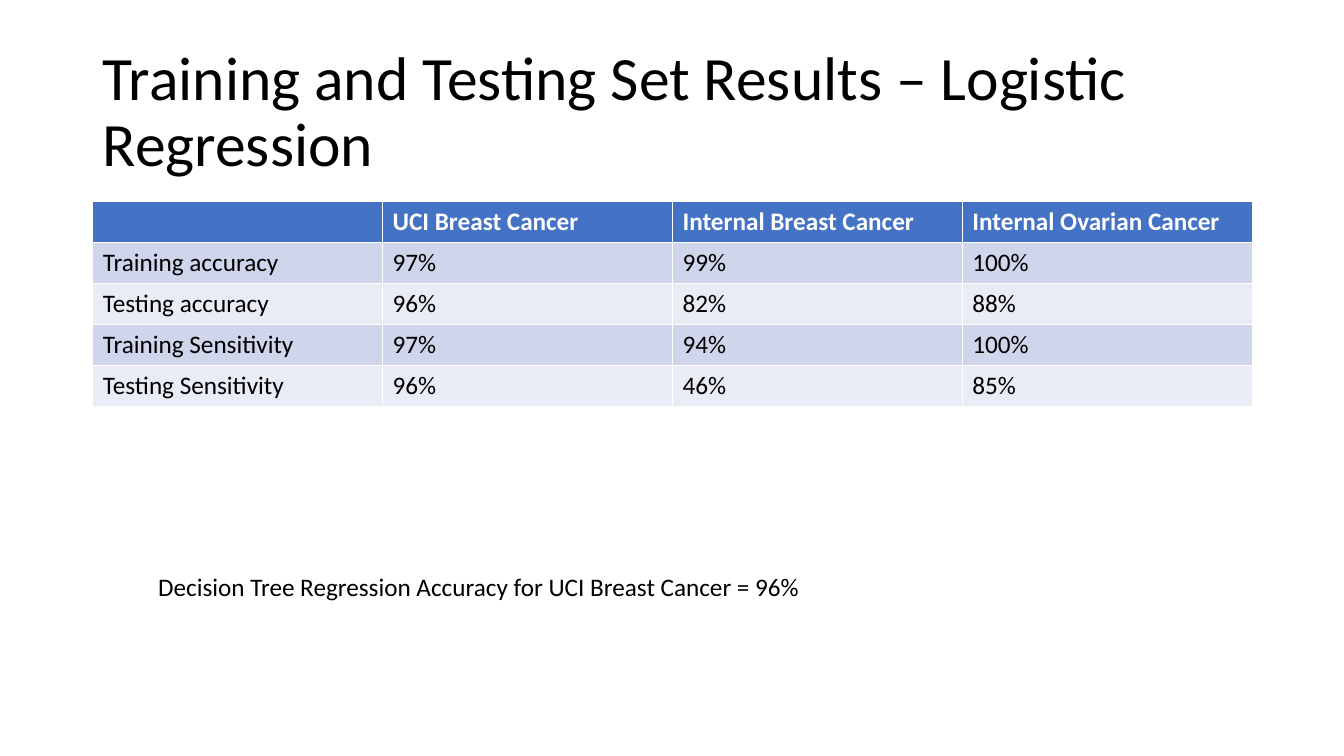
"""Build a slide of logistic regression results."""
from pptx import Presentation
from pptx import util as u
from pptx.dml.color import RGBColor
from pptx.enum import text

COLORS = {
    "ink": "000000",
    "header": "4472C4",
    "header_text": "FFFFFF",
    "odd_row": "CFD5EA",
    "even_row": "E9EBF5",
}
FONT = "Calibri"
RESULTS = [
    ["", "UCI Breast Cancer", "Internal Breast Cancer", "Internal Ovarian Cancer"],
    ["Training accuracy", "97%", "99%", "100%"],
    ["Testing accuracy", "96%", "82%", "88%"],
    ["Training Sensitivity", "97%", "94%", "100%"],
    ["Testing Sensitivity", "96%", "46%", "85%"],
]


def rgb(name):
    """Return the named colour."""
    return RGBColor.from_string(COLORS[name])


def add_run(p, words, size, color="ink", bold=False):
    """Add one formatted run to a paragraph."""
    r = p.add_run()
    r.text = words
    r.font.name = FONT
    r.font.size = u.Pt(size)
    r.font.bold = bold
    r.font.color.rgb = rgb(color)


def add_title(s, box, words):
    """Place the vertically centred title in its box."""
    tf = s.shapes.add_textbox(*map(u.Inches, box)).text_frame
    tf.word_wrap = True
    tf.vertical_anchor = text.MSO_ANCHOR.MIDDLE
    p = tf.paragraphs[0]
    p.line_spacing = 0.9
    add_run(p, words, 44)


def add_results(s, box, rows):
    """Place the results table with a header and alternating row fills."""
    table = s.shapes.add_table(len(rows), len(rows[0]), *map(u.Inches, box)).table
    for i, row in enumerate(rows):
        fill = "header" if i == 0 else "odd_row" if i % 2 else "even_row"
        color = "header_text" if i == 0 else "ink"
        for j, words in enumerate(row):
            cell = table.cell(i, j)
            cell.fill.solid()
            cell.fill.fore_color.rgb = rgb(fill)
            if words:
                add_run(cell.text_frame.paragraphs[0], words, 18, color, i == 0)


def add_note(s, box, words):
    """Place the single-line note in its box."""
    tf = s.shapes.add_textbox(*map(u.Inches, box)).text_frame
    tf.word_wrap = False
    tf.auto_size = text.MSO_AUTO_SIZE.SHAPE_TO_FIT_TEXT
    add_run(tf.paragraphs[0], words, 18)


def main():
    """Build and save the presentation."""
    prs = Presentation()
    prs.slide_width, prs.slide_height = u.Inches(13.33), u.Inches(7.5)
    s = prs.slides.add_slide(prs.slide_layouts[6])
    add_title(s, (0.92, 0.4, 11.5, 1.45),
              "Training and Testing Set Results – Logistic Regression")
    add_results(s, (0.92, 2, 11.5, 2.03), RESULTS)
    add_note(s, (1.47, 5.62, 6.63, 0.4),
             "Decision Tree Regression Accuracy for UCI Breast Cancer = 96%")
    prs.save("out.pptx")


if __name__ == "__main__":
    main()
